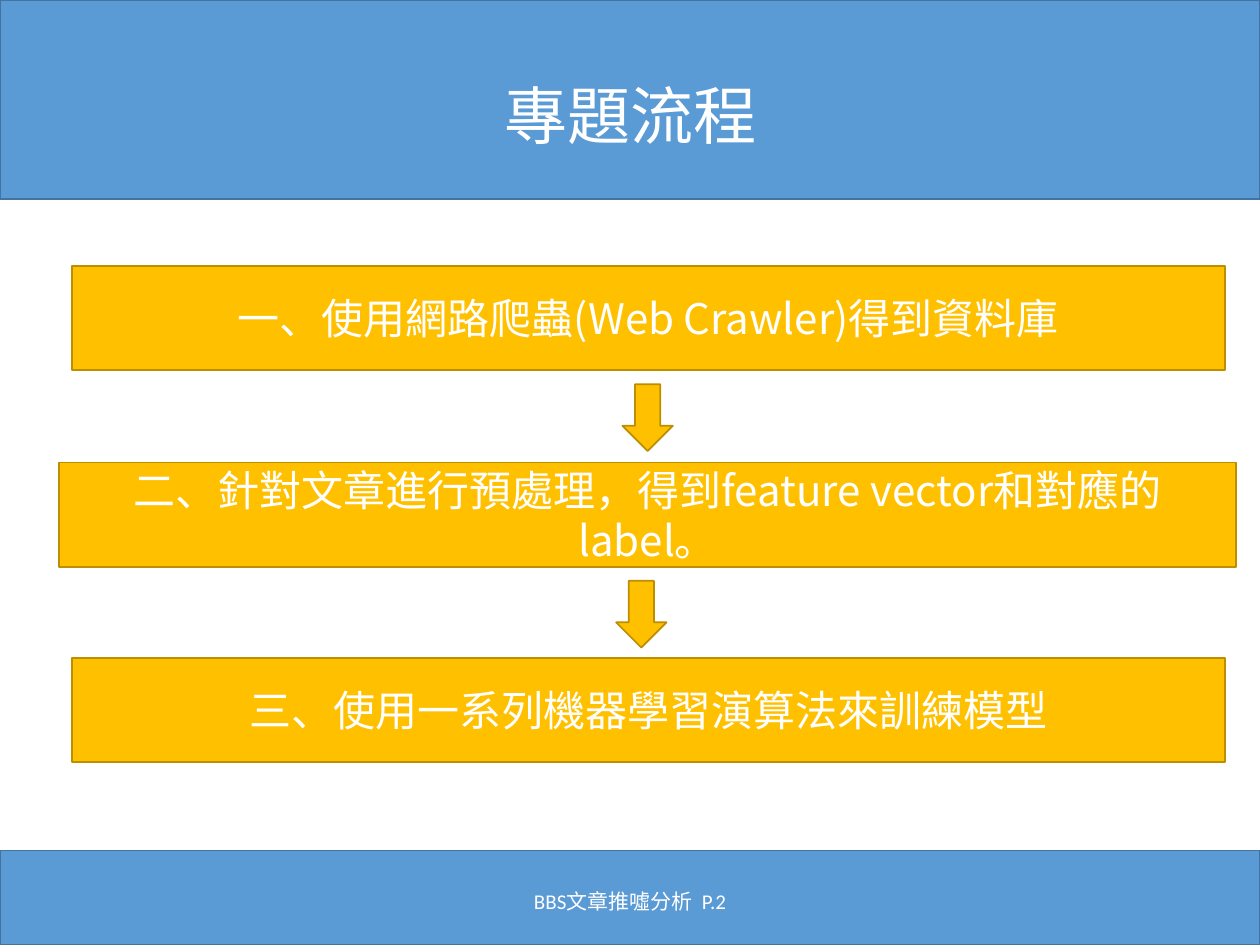
from dataclasses import dataclass

from lxml.etree import SubElement
from pptx import Presentation
from pptx.dml.color import RGBColor
from pptx.enum.shapes import MSO_SHAPE as Preset
from pptx.enum.text import MSO_ANCHOR as Anchor, PP_ALIGN as Align
from pptx.oxml.ns import qn
from pptx.shapes.autoshape import Shape
from pptx.slide import Slide
from pptx.util import Inches, Pt

WHITE = RGBColor(0xFF, 0xFF, 0xFF)
BLUE = RGBColor(0x5B, 0x9B, 0xD5)
DARK_BLUE = RGBColor(0x43, 0x73, 0x9E)
GOLD = RGBColor(0xFF, 0xC0, 0x00)
DARK_GOLD = RGBColor(0xBD, 0x8E, 0x00)

CJK_FONT = "Noto Sans CJK SC"
LATIN_FONT = "Calibri"
SLIDE_WIDTH, SLIDE_HEIGHT = 10, 7.5
FOOTER_HEIGHT = 0.75
STEP_HEIGHT = 0.83
ARROW_WIDTH, ARROW_HEIGHT = 0.4, 0.53


@dataclass(frozen=True)
class Box:
    left: float
    top: float
    width: float
    height: float

    def lengths(self) -> list[int]:
        return [Inches(v) for v in (self.left, self.top, self.width, self.height)]


@dataclass(frozen=True)
class Step:
    text: str
    left: float
    top: float
    width: float


STEPS = (
    Step("一、使用網路爬蟲(Web Crawler)得到資料庫", 0.57, 2.11, 9.15),
    Step("二、針對文章進行預處理，得到feature vector和對應的label。", 0.47, 3.67, 9.34),
    Step("三、使用一系列機器學習演算法來訓練模型", 0.57, 5.22, 9.15),
)
ARROWS = (
    Box(4.94, 3.05, ARROW_WIDTH, ARROW_HEIGHT),
    Box(4.89, 4.61, ARROW_WIDTH, ARROW_HEIGHT),
)


def write(shape: Shape, text: str, size: float, font_name: str = CJK_FONT) -> None:
    frame = shape.text_frame
    frame.word_wrap = True
    frame.vertical_anchor = Anchor.MIDDLE
    frame.text = text
    paragraph = frame.paragraphs[0]
    paragraph.alignment = Align.CENTER
    run = paragraph.runs[0]
    run.font.name = font_name
    run.font.size = Pt(size)
    run.font.color.rgb = WHITE
    SubElement(run.font._element, qn("a:ea")).set("typeface", CJK_FONT)


def draw(slide: Slide, preset: Preset, box: Box, fill: RGBColor, line: RGBColor) -> Shape:
    shape = slide.shapes.add_shape(preset, *box.lengths())
    shape.shadow.inherit = False
    shape.fill.solid()
    shape.fill.fore_color.rgb = fill
    shape.line.color.rgb = line
    shape.line.width = Pt(1)
    return shape


def draw_band(slide: Slide, top: float, height: float) -> Shape:
    return draw(slide, Preset.RECTANGLE, Box(0, top, SLIDE_WIDTH, height), BLUE, DARK_BLUE)


def draw_header(slide: Slide) -> None:
    band = draw_band(slide, 0, 1.58)
    title = slide.shapes.title
    title.left, title.top, title.width, title.height = Box(0.69, 0.4, 8.62, 1.09).lengths()
    write(title, "專題流程", 36)
    title.text_frame.paragraphs[0].line_spacing = 0.9
    title.element.addprevious(band.element)


def draw_footer(slide: Slide) -> None:
    draw_band(slide, SLIDE_HEIGHT - FOOTER_HEIGHT, FOOTER_HEIGHT)
    caption = slide.shapes.add_textbox(*Box(3.31, 6.95, 3.38, 0.4).lengths())
    write(caption, "BBS文章推噓分析  P.2", 12, LATIN_FONT)


def draw_step(slide: Slide, step: Step) -> None:
    box = Box(step.left, step.top, step.width, STEP_HEIGHT)
    write(draw(slide, Preset.RECTANGLE, box, GOLD, DARK_GOLD), step.text, 24)


def main() -> None:
    deck = Presentation()
    deck.slide_width = Inches(SLIDE_WIDTH)
    deck.slide_height = Inches(SLIDE_HEIGHT)
    slide = deck.slides.add_slide(deck.slide_layouts.get_by_name("Title Only"))
    draw_header(slide)
    draw_footer(slide)
    for step in STEPS:
        draw_step(slide, step)
    for arrow in ARROWS:
        draw(slide, Preset.DOWN_ARROW, arrow, GOLD, DARK_GOLD)
    deck.save("out.pptx")


if __name__ == "__main__":
    main()
